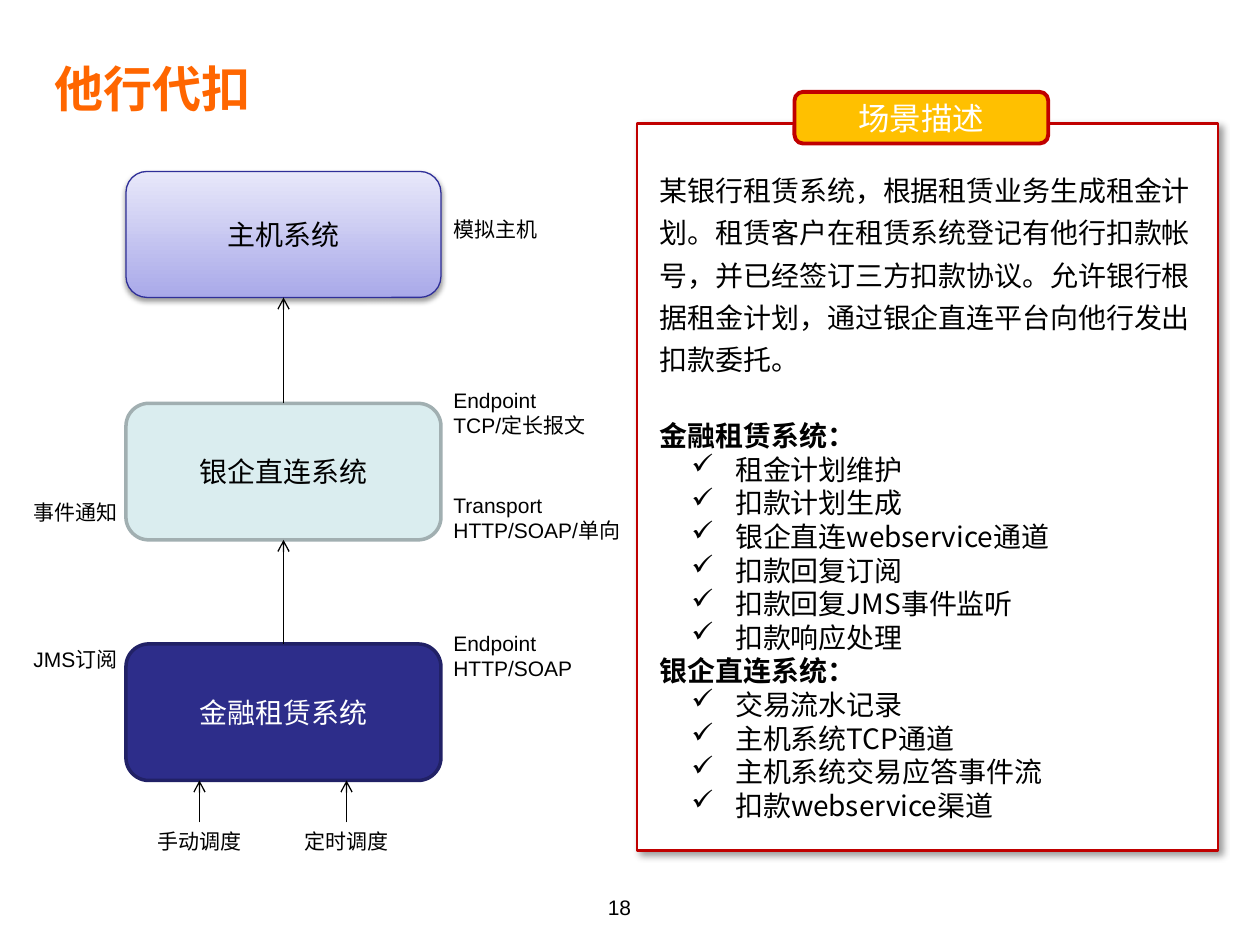
from lxml import etree
from pptx import Presentation
from pptx.dml.color import RGBColor
from pptx.enum import shapes, text
from pptx.oxml import ns
from pptx.util import Pt

SANS, CJK = "Arial", "Noto Sans CJK SC"
LEFT, MID = text.PP_ALIGN.LEFT, text.PP_ALIGN.CENTER
ROUND, RECT = shapes.MSO_SHAPE.ROUNDED_RECTANGLE, shapes.MSO_SHAPE.RECTANGLE


def rgb(code):
    return RGBColor.from_string(code)


def add(parent, tag, **attrs):
    return etree.SubElement(parent, ns.qn(tag), {k: str(v) for k, v in attrs.items()})


def style(para, size, color="000000", font=SANS, bold=False, align=LEFT):
    para.alignment = align
    para.font.size, para.font.name, para.font.bold = Pt(size), font, bold
    para.font.color.rgb = rgb(color)


def shadow(shape, alpha, blur, dist, angle):
    effects = shape._element.spPr.find(ns.qn("a:effectLst"))
    outer = add(effects, "a:outerShdw", blurRad=Pt(blur), dist=Pt(dist),
                dir=angle * 60000, algn="tl", rotWithShape=0)
    add(add(outer, "a:srgbClr", val="000000"), "a:alpha", val=alpha * 1000)


def block(slide, kind, x, y, w, h, fill, line, width):
    shape = slide.shapes.add_shape(kind, Pt(x), Pt(y), Pt(w), Pt(h))
    shape.shadow.inherit = False
    if isinstance(fill, tuple):
        shape.fill.gradient()
        shape.fill.gradient_angle = 90
        for stop, code in zip(shape.fill.gradient_stops, fill):
            stop.color.rgb = rgb(code)
    else:
        shape.fill.solid()
        shape.fill.fore_color.rgb = rgb(fill)
    shape.line.color.rgb = rgb(line)
    shape.line.width = Pt(width)
    return shape


def caption(shape, words, size, color, font=SANS):
    frame = shape.text_frame
    frame.vertical_anchor = text.MSO_ANCHOR.MIDDLE
    frame.text = words
    style(frame.paragraphs[0], size, color, font, align=MID)


def label(slide, x, y, w, h, words, align=LEFT):
    box = slide.shapes.add_textbox(Pt(x), Pt(y), Pt(w), Pt(h))
    box.text_frame.word_wrap = True
    box.text_frame.text = words
    for para in box.text_frame.paragraphs:
        style(para, 12, align=align)
    return box


def arrow(slide, x, low, high):
    link = slide.shapes.add_connector(shapes.MSO_CONNECTOR.STRAIGHT,
                                      Pt(x), Pt(low), Pt(x), Pt(high))
    link.line.color.rgb = rgb("000000")
    link.line.width = Pt(0.75)
    add(link.line._get_or_add_ln(), "a:tailEnd", type="arrow")
    add(link._element.spPr, "a:effectLst")


def heading(slide, x, y, w, h):
    title = slide.shapes.title
    title.left, title.top, title.width, title.height = Pt(x), Pt(y), Pt(w), Pt(h)
    title.text_frame.vertical_anchor = text.MSO_ANCHOR.MIDDLE
    title.text_frame.text = "他行代扣"
    style(title.text_frame.paragraphs[0], 28, "FF6600", bold=True)


def flow(slide, x, y):
    # Systems, top to bottom
    left, wide = x + 60, 180
    systems = [
        ("主机系统", 0, 72, ("A9A9E9", "E8E8FA"), "2F2F98", 0.75, "000000"),
        ("银企直连系统", 132.5, 78, "DAEDEF", "A1AFB1", 2, "000000"),
        ("金融租赁系统", 270, 78, "2D2D8A", "212166", 2, "FFFFFF"),
    ]
    floor = None
    for name, top, high, fill, line, width, color in systems:
        shape = block(slide, ROUND, left, y + top, wide, high, fill, line, width)
        caption(shape, name, 16, color)
        if floor is None:
            shadow(shape, 38, 3.1, 1.6, 90)
        else:
            arrow(slide, left + wide / 2, y + top, floor)
        floor = y + top + high

    # Triggers below the last system
    for mid, words in ((x + 102, "手动调度"), (x + 186, "定时调度")):
        arrow(slide, mid, floor + 24, floor)
        label(slide, mid - 36, floor + 24, 72, 22, words, MID)

    # Notes on both sides
    notes = [
        (240, 22, 64, "模拟主机"),
        (240, 120, 108, "Endpoint\nTCP/定长报文"),
        (240, 180, 120, "Transport\nHTTP/SOAP/单向"),
        (240, 258.5, 114, "Endpoint\nHTTP/SOAP"),
        (0, 184, 66, "事件通知"),
        (0, 268, 66, "JMS订阅"),
    ]
    for dx, dy, w, words in notes:
        label(slide, x + dx, y + dy, w, 36 if "\n" in words else 22, words)


def scene(slide, x, y, w, h):
    # Frame
    frame = block(slide, RECT, x, y, w, h, "FFFFFF", "C00000", 1.5)
    shadow(frame, 40, 4, 3, 45)

    # Description
    box = slide.shapes.add_textbox(Pt(x + 6), Pt(y + 20), Pt(w - 7), Pt(h - 24))
    body = box.text_frame
    body.word_wrap = True
    intro = body.paragraphs[0]
    intro.text = ("某银行租赁系统，根据租赁业务生成租金计划。租赁客户在租赁系统登记有他行扣款帐号，"
                  "并已经签订三方扣款协议。允许银行根据租金计划，通过银企直连平台向他行发出扣款委托。")
    intro.line_spacing = Pt(24.2)
    style(intro, 16)

    # Task lists
    tasks = {
        "金融租赁系统：": ["租金计划维护", "扣款计划生成", "银企直连webservice通道",
                    "扣款回复订阅", "扣款回复JMS事件监听", "扣款响应处理"],
        "银企直连系统：": ["交易流水记录", "主机系统TCP通道", "主机系统交易应答事件流",
                    "扣款webservice渠道"],
    }
    for i, (name, items) in enumerate(tasks.items()):
        for words in [name] + items:
            para = body.add_paragraph()
            para.text = words
            para.line_spacing = Pt(19.2)
            if words == name:
                para.space_before = Pt(0 if i else 24.2)
            else:
                props = para._p.get_or_add_pPr()
                props.set("marL", str(Pt(43)))
                props.set("indent", str(Pt(-25)))
                add(props, "a:buChar", char="✓")
            style(para, 16, font=CJK, bold=words == name)

    # Tab on the upper edge
    tab = block(slide, ROUND, x + 90, y - 18, 145, 29.5, "FFC000", "C00000", 2.25)
    caption(tab, "场景描述", 18, "FFFFFF", CJK)


def main():
    deck = Presentation()
    deck.slide_width, deck.slide_height = Pt(720), Pt(540)
    slide = deck.slides.add_slide(deck.slide_layouts[5])
    heading(slide, 24, 28, 678, 44)
    flow(slide, 12, 98)
    scene(slide, 364, 70.5, 332, 415.5)
    number = label(slide, 270, 492, 168, 37, "18", MID)
    number.text_frame.vertical_anchor = text.MSO_ANCHOR.BOTTOM
    deck.save("out.pptx")


if __name__ == "__main__":
    main()
